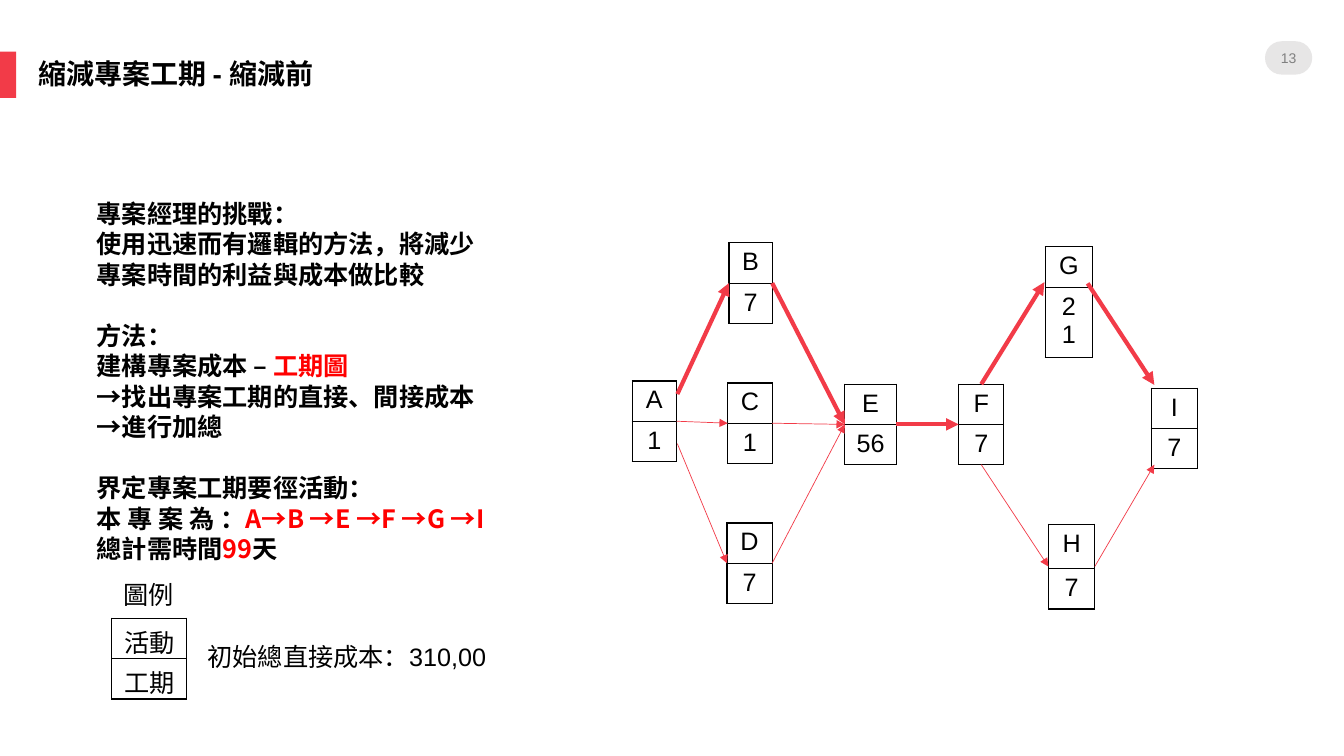
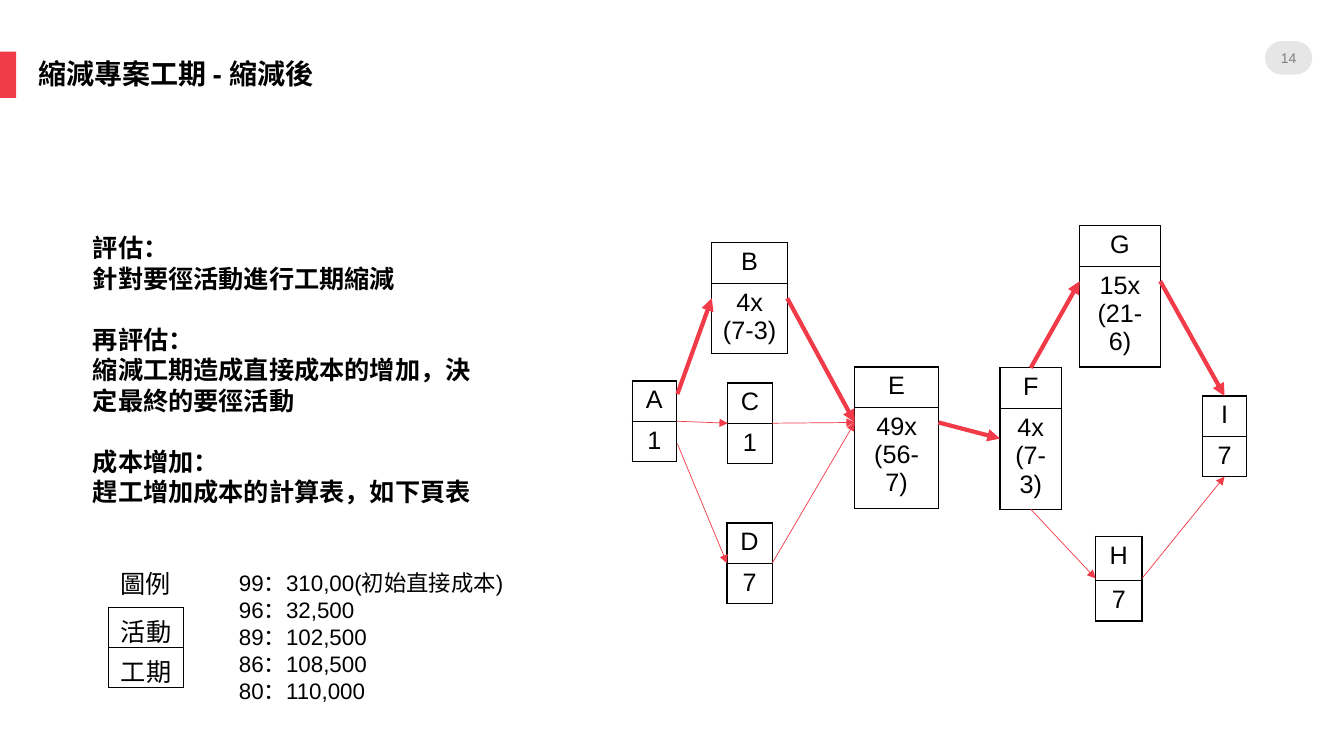
from lxml.etree import SubElement
from pptx import Presentation
from pptx.dml.color import RGBColor
from pptx.enum.shapes import MSO_CONNECTOR, MSO_SHAPE
from pptx.enum.text import MSO_ANCHOR, PP_ALIGN
from pptx.oxml import parse_xml
from pptx.oxml.ns import nsdecls, qn
from pptx.util import Cm, Pt

RED, PILL, GREY = "F23B48", "E7E6E6", "808080"
BLACK, WHITE, MARK = "000000", "FFFFFF", "FF0000"
LATIN, CJK = "Arial", "Noto Sans CJK SC"
ROW, SLACK = 0.97, 0.1
THIN, THICK = 0.5, 3

COMMON_NODES = {
    "A": (0, 3.91, 1.12, 2.03, ["1"], 1),
    "C": (2.41, 3.96, 1.12, 2.03, ["1"], ROW),
    "D": (2.39, 7.49, 1.14, 2.03, ["7"], ROW),
}
NODES_BEFORE = COMMON_NODES | {
    "B": (2.44, 0.43, 1.09, 2.03, ["7"], ROW),
    "E": (5.36, 3.99, 1.3, 2.03, ["56"], ROW),
    "F": (8.23, 3.99, 1.14, 2.03, ["7"], ROW),
    "G": (10.41, 0.53, 1.19, 2.79, ["21"], ROW),
    "H": (10.49, 7.52, 1.17, 2.13, ["7"], 1.12),
    "I": (13.08, 4.09, 1.17, 2.03, ["7"], ROW),
}
NODES_AFTER = COMMON_NODES | {
    "B": (2.01, 0.43, 1.9, 2.79, ["4x", "(7-3)"], ROW),
    "E": (5.61, 3.56, 2.11, 2.79, ["49x", "(56-7)"], ROW),
    "F": (9.27, 3.58, 1.55, 3.56, ["4x", "(7-3)"], 1.03),
    "G": (11.28, 0, 2.03, 2.79, ["15x", "(21-6)"], ROW),
    "H": (11.68, 7.82, 1.17, 2.13, ["7"], 1.12),
    "I": (14.38, 4.29, 1.1, 2.03, ["7"], ROW),
}
COMMON_LINKS = [
    ((1.14, 4.24), ("B", 1), THICK),
    (("A", 3), ("C", 1), THIN),
    ((1.14, 5.49), ("D", 1), THIN),
    (("C", 3), ("E", 1), THIN),
    (("B", 3), ("E", 1), THICK),
    (("D", 3), ("E", 1), THIN),
    (("E", 3), ("F", 1), THICK),
    (("F", 2), ("H", 1), THIN),
]
LINKS_BEFORE = COMMON_LINKS + [
    (("F", 0), (10.39, 1.42), THICK),
    ((11.48, 1.45), (13.16, 4.01), THICK),
    (("H", 3), (13.16, 6.02), THIN),
]
LINKS_AFTER = COMMON_LINKS + [
    (("F", 0), ("G", 1), THICK),
    (("G", 3), ("I", 0), THICK),
    (("H", 3), ("I", 2), THIN),
]
TEXT_BEFORE = [
    [["專案經理的挑戰："], ["使用迅速而有邏輯的方法，將減少"], ["專案時間的利益與成本做比較"]],
    [["方法："], ["建構專案成本 – ", "*工期圖"], ["→找出專案工期的直接、間接成本"], ["→進行加總"]],
    [["界定專案工期要徑活動："],
     ["本 專 案 為 ：", "*A→B →E →F →G →I ", "總計需時間", "*99", "天"]],
]
TEXT_AFTER = [
    [["評估："], ["針對要徑活動進行工期縮減"]],
    [["再評估："], ["縮減工期造成直接成本的增加，決"], ["定最終的要徑活動"]],
    [["成本增加："], ["趕工增加成本的計算表，如下頁表"]],
]
COSTS = ["99：310,00(初始直接成本)", "96：32,500", "89：102,500", "86：108,500", "80：110,000"]


def rgb(value):
    """Turn a hex string into a colour."""
    return RGBColor.from_string(value)


def style(p, size, color=BLACK, bold=False, align=PP_ALIGN.LEFT, name=LATIN):
    """Set font and alignment of a paragraph."""
    p.alignment = align
    f = p.font
    f.name, f.size, f.bold = name, Pt(size), bold
    f.color.rgb = rgb(color)


def fill_text(tf, lines, size, **look):
    """Write one paragraph for each line."""
    for i, line in enumerate(lines):
        p = tf.add_paragraph() if i else tf.paragraphs[0]
        p.text = line
        style(p, size, **look)


def text_box(s, x, y, w, h):
    """Add a wrapping text box and return its frame."""
    tf = s.shapes.add_textbox(Cm(x), Cm(y), Cm(w), Cm(h)).text_frame
    tf.word_wrap = True
    return tf


def solid(s, x, y, w, h, kind, color):
    """Add a plain filled shape."""
    sp = s.shapes.add_shape(kind, Cm(x), Cm(y), Cm(w), Cm(h))
    sp.shadow.inherit = False
    sp.fill.solid()
    sp.fill.fore_color.rgb = rgb(color)
    sp.line.fill.background()
    return sp


def frame(s, title, number):
    """Add the red tab, page number and title."""
    solid(s, 0, 1.3, 0.41, 1.17, MSO_SHAPE.RECTANGLE, RED)
    pill = solid(s, 31.88, 1.04, 1.19, 0.84, MSO_SHAPE.ROUNDED_RECTANGLE, PILL)
    pill.adjustments[0] = 0.5
    tf = pill.text_frame
    tf.margin_left = tf.margin_right = tf.margin_top = tf.margin_bottom = 0
    tf.vertical_anchor = MSO_ANCHOR.MIDDLE
    fill_text(tf, [str(number)], 10, color=GREY, align=PP_ALIGN.CENTER)
    tf = text_box(s, 0.71, 1.4, 10.6, 1.17)
    fill_text(tf, [title], 20, bold=True)
    tf.paragraphs[0].line_spacing = 0.9


def border(cell):
    """Draw a thin black line on every side of a cell."""
    tc_pr = cell._tc.get_or_add_tcPr()
    for i, side in enumerate(("lnL", "lnR", "lnT", "lnB")):
        tc_pr.insert(i, parse_xml(
            f'<a:{side} {nsdecls("a")} w="{Pt(1)}"><a:solidFill>'
            f'<a:srgbClr val="{BLACK}"/></a:solidFill></a:{side}>'))


def node(s, x, y, w, h, name, lines, top):
    """Add a two-row box with a name above its duration."""
    gf = s.shapes.add_table(2, 1, Cm(x), Cm(y), Cm(w), Cm(h))
    t = gf.table
    t.first_row = t.horz_banding = False
    rows = ([name], top), (lines, h - top - SLACK)
    for i, (content, height) in enumerate(rows):
        t.rows[i].height = Cm(height)
        cell = t.cell(i, 0)
        cell.fill.solid()
        cell.fill.fore_color.rgb = rgb(WHITE)
        border(cell)
        fill_text(cell.text_frame, content, 18, align=PP_ALIGN.CENTER)
    gf.height = Cm(h)
    return gf


def arrow(s, x, y, boxes, start, end, width):
    """Add an arrow between box sides or points."""
    c = s.shapes.add_connector(MSO_CONNECTOR.STRAIGHT, 0, 0, 0, 0)
    if start[0] in boxes:
        c.begin_connect(boxes[start[0]], start[1])
    else:
        c.begin_x, c.begin_y = Cm(x + start[0]), Cm(y + start[1])
    if end[0] in boxes:
        c.end_connect(boxes[end[0]], end[1])
    else:
        c.end_x, c.end_y = Cm(x + end[0]), Cm(y + end[1])
    c.line.width = Pt(width)
    c.line.color.rgb = rgb(RED)
    SubElement(c.line._get_or_add_ln(), qn("a:tailEnd"), type="triangle")
    SubElement(c._element.spPr, qn("a:effectLst"))


def network(s, x, y, nodes, links):
    """Draw the activity network from its top left corner."""
    boxes = {name: node(s, x + dx, y + dy, w, h, name, lines, top)
             for name, (dx, dy, w, h, lines, top) in nodes.items()}
    for start, end, width in links:
        arrow(s, x, y, boxes, start, end, width)


def remarks(s, x, y, w, h, groups):
    """Write bold groups of lines; a star marks red runs."""
    tf = text_box(s, x, y, w, h)
    tf.margin_left = tf.margin_right = tf.margin_bottom = 0
    tf.margin_top = Cm(0.03)
    for g, group in enumerate(groups):
        for i, runs in enumerate(group):
            p = tf.add_paragraph() if g or i else tf.paragraphs[0]
            style(p, 18, bold=True, name=CJK)
            p.line_spacing = Pt(21.8)
            p.space_before = Pt(21.8 if g and not i else 0)
            for text in runs:
                r = p.add_run()
                r.text = text.lstrip("*")
                if text.startswith("*"):
                    r.font.color.rgb = rgb(MARK)
                SubElement(r._r.get_or_add_rPr(), qn("a:ea"), typeface=CJK)


def legend(s, x, y):
    """Add the key that explains the two rows of a box."""
    fill_text(text_box(s, x + 0.04, y, 2.06, 1.02), ["圖例"], 18)
    node(s, x, y + 1.1, 1.88, 2.1, "活動", ["工期"], 1)


def costs(s, x, y, w, h, lines, size):
    """List cost figures."""
    fill_text(text_box(s, x, y, w, h), lines, size)


def main():
    """Build and save both slides."""
    prs = Presentation()
    prs.slide_width, prs.slide_height = Cm(33.87), Cm(19.05)
    blank = prs.slide_layouts[6]

    s = prs.slides.add_slide(blank)
    frame(s, "縮減專案工期 - 縮減前", 13)
    network(s, 15.93, 5.69, NODES_BEFORE, LINKS_BEFORE)
    remarks(s, 2.44, 4.95, 10.19, 9.27, TEXT_BEFORE)
    legend(s, 2.82, 14.48)
    costs(s, 4.98, 16.03, 9.73, 1.02, ["初始總直接成本：310,00"], 18)

    s = prs.slides.add_slide(blank)
    frame(s, "縮減專案工期 - 縮減後", 14)
    network(s, 15.93, 5.69, NODES_AFTER, LINKS_AFTER)
    remarks(s, 2.34, 5.82, 10.67, 6.99, TEXT_AFTER)
    legend(s, 2.74, 14.2)
    costs(s, 5.77, 14.22, 7.19, 3.68, COSTS, 16)

    prs.save("out.pptx")


if __name__ == "__main__":
    main()
